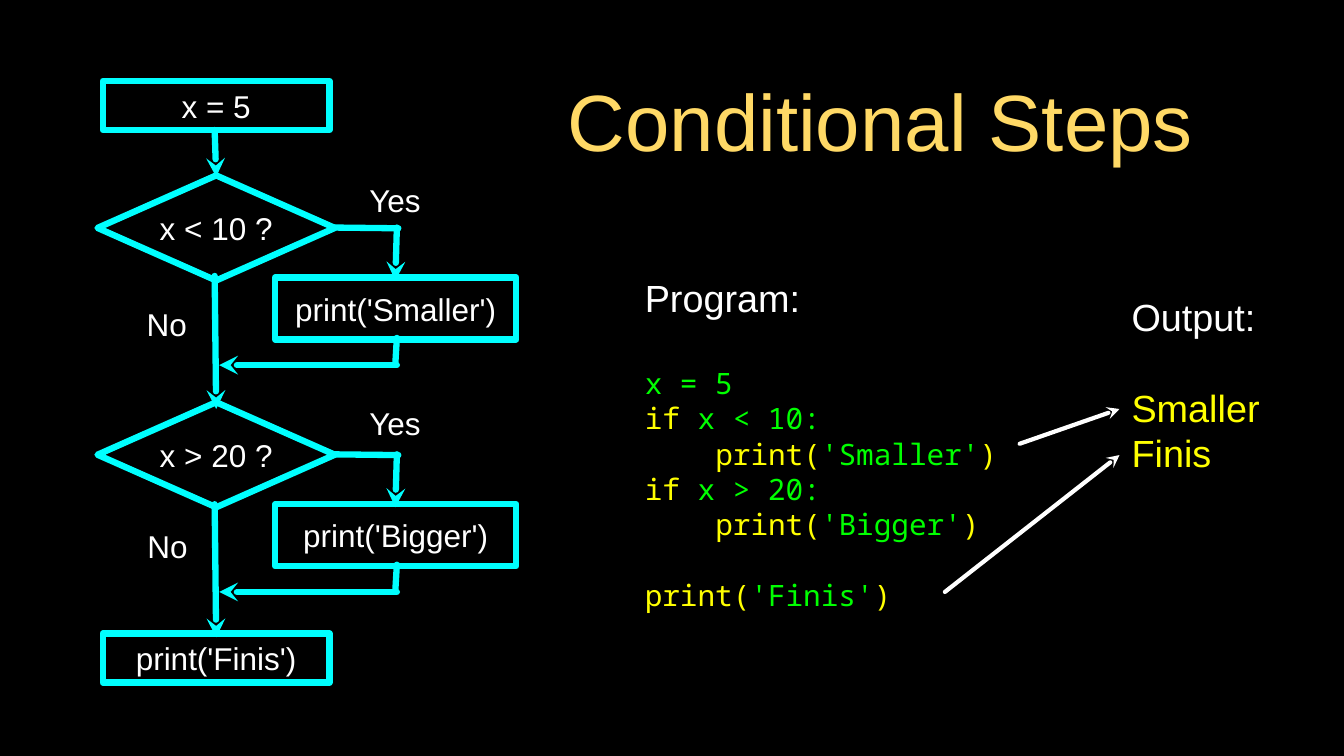
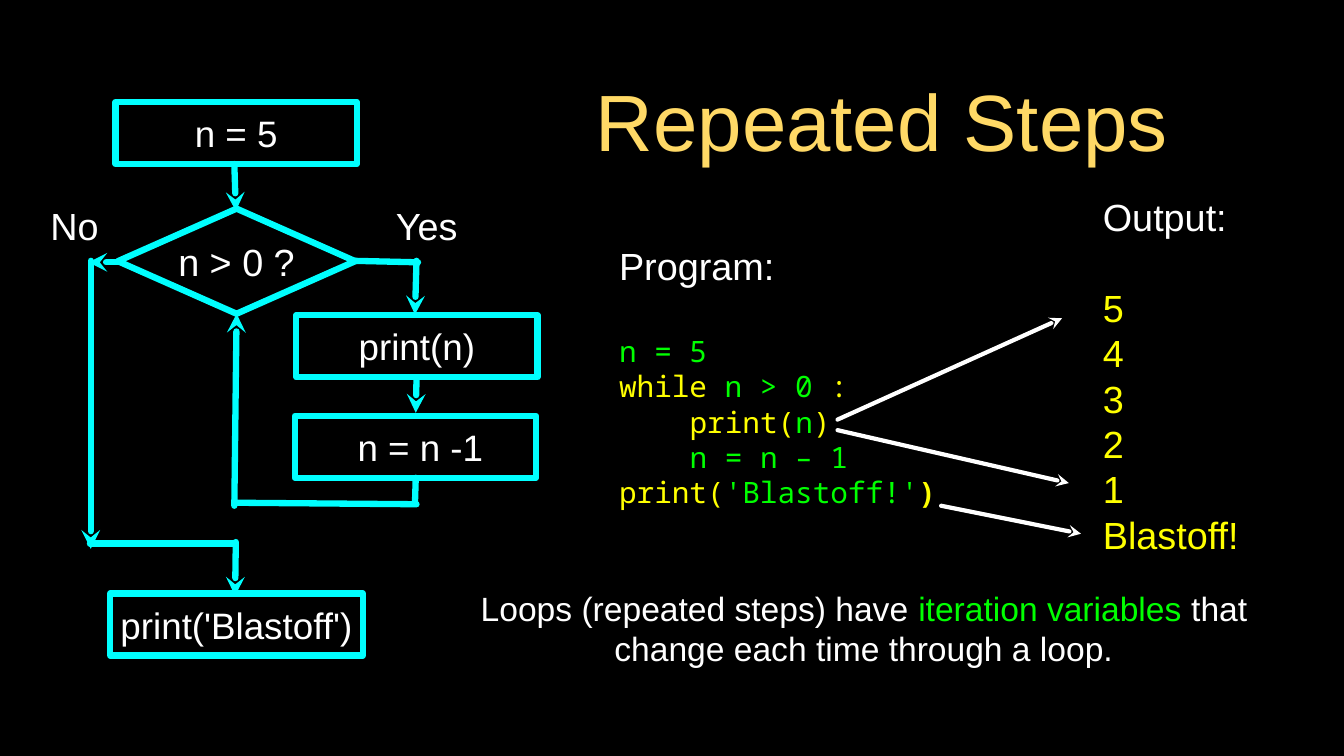
from dataclasses import dataclass
from typing import NamedTuple

from lxml.etree import SubElement
from pptx import Presentation
from pptx.dml.color import RGBColor
from pptx.enum.shapes import MSO_CONNECTOR, MSO_SHAPE
from pptx.enum.text import MSO_ANCHOR, MSO_AUTO_SIZE, PP_ALIGN
from pptx.oxml.ns import qn
from pptx.util import Inches, Pt

WIDTH, HEIGHT = 17.78, 10
ROWS = 100
CELL = HEIGHT / ROWS
LEAD = 1.2
HUES = {
    "back": "000000",
    "title": "FFD966",
    "text": "FFFFFF",
    "flow": "00FFFF",
    "word": "FFFF00",
    "data": "00FF00",
}
SANS, MONO = "Arial", "Noto Sans Mono"
CODE, HEAD = 28, 36
INDENT = Pt(CODE * 0.6 * 4)


class Box(NamedTuple):
    col: float
    row: float
    wide: float
    high: float


class Run(NamedTuple):
    text: str
    hue: str = "text"
    bold: bool = False


@dataclass
class Line:
    runs: list[Run]
    size: float
    face: str = SANS
    gap: float = 0
    deep: int = 0


@dataclass
class Node:
    text: str
    box: Box
    size: float
    kind: MSO_SHAPE = MSO_SHAPE.RECTANGLE


@dataclass
class Wire:
    x1: float
    y1: float
    x2: float
    y2: float
    tip: bool = True
    hue: str = "flow"
    width: float = 6


def cells(count: float) -> int:
    return Inches(count * CELL)


def color(hue: str) -> RGBColor:
    return RGBColor.from_string(HUES[hue])


def place(frame, pad: float = 0, wrap: bool = True) -> None:
    frame.word_wrap = wrap
    frame.auto_size = MSO_AUTO_SIZE.NONE
    frame.vertical_anchor = MSO_ANCHOR.MIDDLE
    frame.margin_left = frame.margin_right = Inches(pad)
    frame.margin_top = frame.margin_bottom = Inches(pad)


def style(para, size: float, hue: str, face: str = SANS, align=PP_ALIGN.CENTER) -> None:
    para.alignment = align
    para.font.name = face
    para.font.size = Pt(size)
    para.font.color.rgb = color(hue)


def write(slide, box: Box, lines: list[Line], align=PP_ALIGN.LEFT) -> None:
    frame = slide.shapes.add_textbox(*map(cells, box)).text_frame
    place(frame)
    for at, line in enumerate(lines):
        para = frame.add_paragraph() if at else frame.paragraphs[0]
        style(para, line.size, line.runs[0].hue, line.face, align)
        para.line_spacing = Pt(line.size * LEAD)
        para.space_before = Pt(line.gap * LEAD)
        if line.deep:
            para._p.get_or_add_pPr().set("marL", str(line.deep * INDENT))
        for item in line.runs:
            run = para.add_run()
            run.text = item.text
            if item.hue != line.runs[0].hue:
                run.font.color.rgb = color(item.hue)
            if item.bold:
                run.font.bold = True


def label(slide, text: str, box: Box, size: float) -> None:
    write(slide, box, [Line([Run(text)], size)], PP_ALIGN.CENTER)


def stroke(line, hue: str, width: float):
    line.color.rgb = color(hue)
    line.width = Pt(width)
    ln = line._get_or_add_ln()
    ln.set("cap", "rnd")
    SubElement(ln, qn("a:round"))
    return ln


def draw(slide, node: Node) -> None:
    shape = slide.shapes.add_shape(node.kind, *map(cells, node.box))
    shape.shadow.inherit = False
    shape.fill.background()
    stroke(shape.line, "flow", 6)
    place(shape.text_frame, wrap=False)
    para = shape.text_frame.paragraphs[0]
    para.text = node.text
    style(para, node.size, "text")


def link(slide, wire: Wire) -> None:
    ends = map(cells, (wire.x1, wire.y1, wire.x2, wire.y2))
    line = slide.shapes.add_connector(MSO_CONNECTOR.STRAIGHT, *ends)
    ln = stroke(line.line, wire.hue, wire.width)
    if wire.tip:
        SubElement(ln, qn("a:tailEnd")).set("type", "stealth")
    SubElement(line._element.spPr, qn("a:effectLst"))


def point(slide, *ends: float) -> None:
    link(slide, Wire(*ends, hue="text", width=4))


def start(deck, title: str, left: float):
    slide = deck.slides.add_slide(deck.slide_layouts[5])
    head = slide.shapes.title
    head.left, head.top = cells(left), cells(8.4)
    head.width, head.height = cells(168.9 - left), cells(14.9)
    place(head.text_frame, 0.04)
    para = head.text_frame.paragraphs[0]
    para.text = title
    style(para, 76, "title")
    return slide


def code(*runs: Run, gap: float = 0, deep: int = 0) -> Line:
    return Line(list(runs), CODE, MONO, gap, deep)


def word(text: str, bold: bool = False) -> Run:
    return Run(text, "word", bold)


def data(text: str) -> Run:
    return Run(text, "data")


def call(name: str, gap: float = 0, deep: int = 0, bold: bool = False) -> Line:
    return code(word("print("), data(name), word(")", bold), gap=gap, deep=deep)


def program(slide, box: Box, lines: list[Line]) -> None:
    write(slide, box, [Line([Run("Program:")], HEAD), *lines])


def output(slide, box: Box, words: list[str]) -> None:
    lines = [
        Line([word(text)], HEAD, gap=0 if at else HEAD)
        for at, text in enumerate(words)
    ]
    write(slide, box, [Line([Run("Output:")], HEAD), *lines])


def branch(slide, top: float, test: str, act: str) -> None:
    draw(slide, Node(test, Box(12.9, top, 31.4, 13.9), 30, MSO_SHAPE.DIAMOND))
    draw(slide, Node(act, Box(36.4, top + 13.5, 31.9, 8.2), 30))
    for wire in (
        Wire(44.2, top + 6.9, 52.7, top + 7, False),
        Wire(52.5, top + 6.9, 52.3, top + 13.9),
        Wire(52.5, top + 21.5, 52.3, top + 24.9, False),
        Wire(52.5, top + 25.1, 29, top + 25.1),
    ):
        link(slide, wire)


def steps(deck) -> None:
    slide = start(deck, "Conditional Steps", 64)
    output(slide, Box(149.7, 39.3, 17.3, 23.2), ["Smaller", "Finis"])
    program(slide, Box(85.3, 36.3, 49.6, 44.7), [
        code(data("x = 5"), gap=HEAD),
        code(word("if "), data("x < 10:")),
        call("'Smaller'", deep=1),
        code(word("if "), data("x > 20:")),
        call("'Bigger'", deep=1),
        call("'Finis'", gap=CODE),
    ])
    for text, row in (("x = 5", 10.7), ("print('Finis')", 83.8)):
        draw(slide, Node(text, Box(13.6, row, 30, 6.5), 30))
    branch(slide, 23.2, "x < 10 ?", "print('Smaller')")
    branch(slide, 53.2, "x > 20 ?", "print('Bigger')")
    for top, low in ((17.2, 23.4), (36.5, 54.1), (66.7, 84.3)):
        link(slide, Wire(28.4, top, 28.6, low))
    for text, col, row in (
        ("Yes", 48.3, 24.2), ("No", 18.1, 40.6),
        ("Yes", 48.3, 53.6), ("No", 18.2, 69.9),
    ):
        label(slide, text, Box(col, row, 7.9, 4.6), 30)
    point(slide, 134.9, 58.7, 148.1, 54.1)
    point(slide, 125, 78.3, 148.1, 60.2)


def loops(deck) -> None:
    slide = start(deck, "Repeated Steps", 64.4)
    output(slide, Box(145.9, 26.4, 21.8, 46.5), [*"54321", "Blastoff!"])
    program(slide, Box(81.9, 32.1, 42.6, 35.3), [
        code(data("n = 5"), gap=HEAD),
        code(word("while"), data(" n > 0"), word(" :")),
        call("n", deep=1),
        code(data("n = n – 1"), deep=1),
        call("'Blastoff!'", bold=True),
    ])
    for text, box in (
        ("n = 5", Box(15.3, 13.5, 31.9, 8.2)),
        ("print(n)", Box(39.2, 41.7, 31.9, 8.2)),
        (" n = n -1", Box(39, 55, 31.9, 8.2)),
        ("print('Blastoff')", Box(14.6, 78.5, 33.4, 8.2)),
    ):
        draw(slide, Node(text, box, 35))
    draw(slide, Node("n > 0 ?", Box(15.6, 27.6, 31.4, 13.9), 36, MSO_SHAPE.DIAMOND))
    for wire in (
        Wire(31, 21.7, 31.2, 27.9),
        Wire(46.8, 34.5, 55.3, 34.7, False),
        Wire(55.1, 34.5, 54.9, 41.6),
        Wire(55.1, 50.3, 55, 54.6),
        Wire(55, 63.2, 54.9, 66.5, False),
        Wire(31.2, 66.5, 55.1, 66.7, False),
        Wire(31, 66.9, 31.3, 41.5),
        Wire(16, 34.7, 11.7, 34.7),
        Wire(12, 34.5, 12, 72.6),
        Wire(11.9, 71.9, 31, 71.9, False),
        Wire(31.2, 71.7, 31.1, 78.8),
    ):
        link(slide, wire)
    label(slide, "No", Box(5.9, 27, 7.9, 5.7), 36)
    label(slide, "Yes", Box(51, 27, 10.9, 5.7), 36)
    point(slide, 110.8, 55.5, 140.5, 42.1)
    point(slide, 110.8, 56.9, 141.4, 63.9)
    point(slide, 124.5, 66.9, 143, 70.6)
    note = [
        Run("Loops (repeated steps) have "),
        data("iteration variables "),
        Run("that change each time through a loop."),
    ]
    write(slide, Box(56.4, 78, 115.8, 10.1), [Line(note, 32)], PP_ALIGN.CENTER)


def main() -> None:
    deck = Presentation()
    deck.slide_width, deck.slide_height = Inches(WIDTH), Inches(HEIGHT)
    fill = deck.slide_master.background.fill
    fill.solid()
    fill.fore_color.rgb = color("back")
    steps(deck)
    loops(deck)
    deck.save("out.pptx")


if __name__ == "__main__":
    main()
